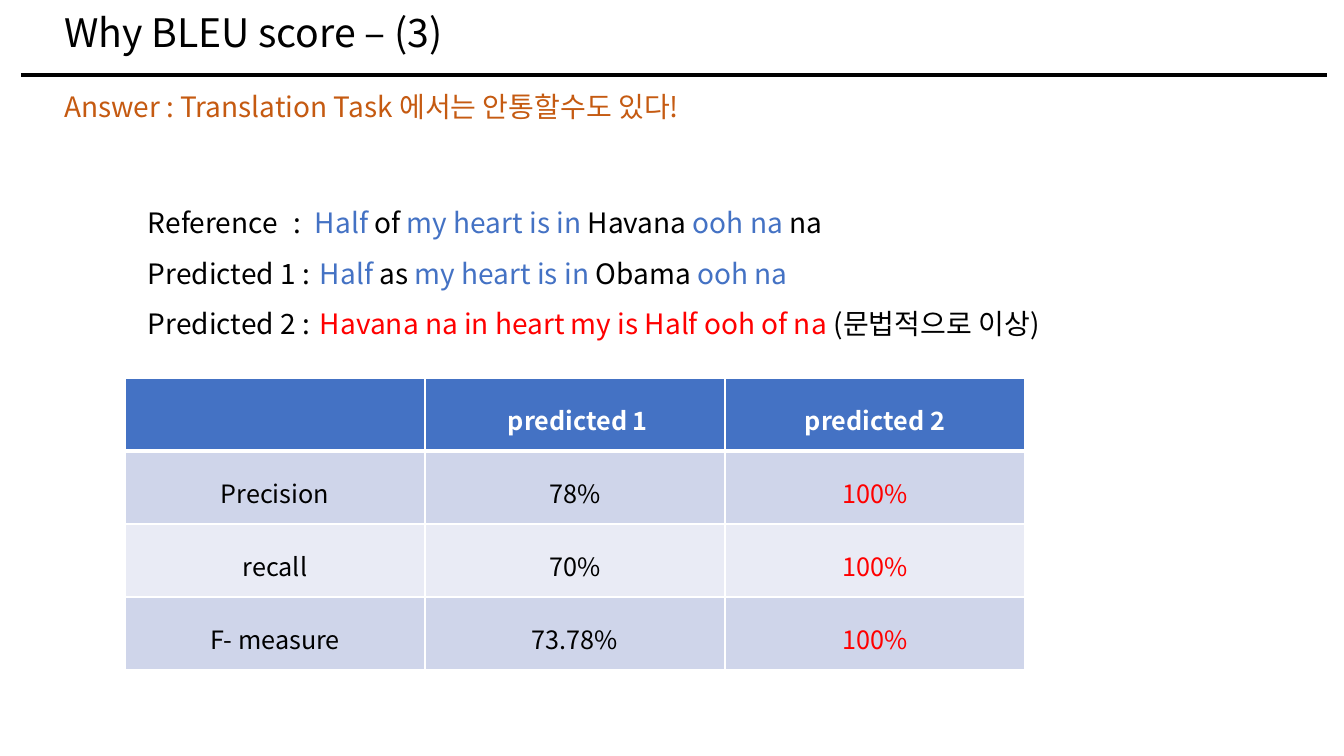
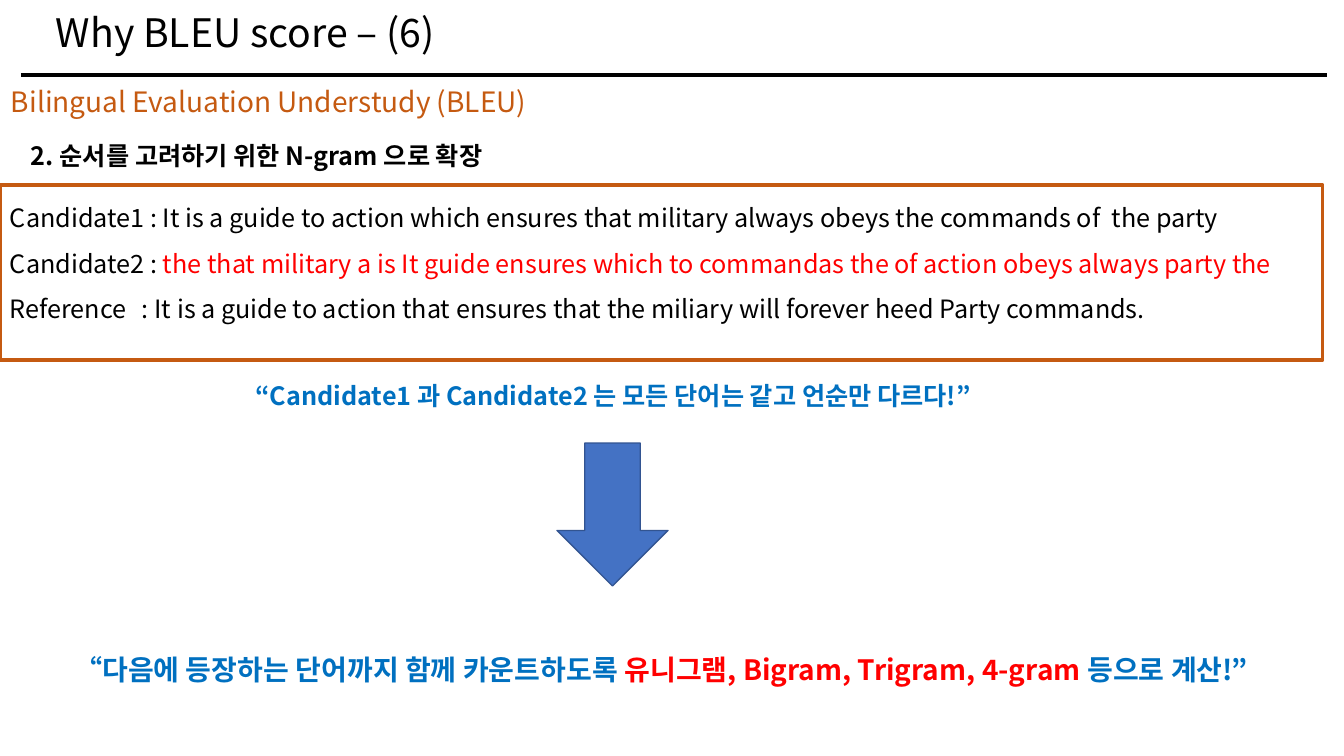
import dataclasses

import lxml.etree
import pptx
import pptx.dml.color
import pptx.enum.shapes
import pptx.enum.text
import pptx.oxml.ns
import pptx.util

SHAPE = pptx.enum.shapes.MSO_SHAPE
ALIGN = pptx.enum.text.PP_ALIGN
ANCHOR = pptx.enum.text.MSO_ANCHOR


@dataclasses.dataclass(frozen=True)
class Theme:
    """Colours, font and type sizes of the deck."""
    font: str = "Noto Sans CJK KR"
    ink: str = "000000"
    paper: str = "FFFFFF"
    rust: str = "C55A11"
    blue: str = "4472C4"
    edge: str = "325491"
    sky: str = "0070C0"
    red: str = "FF0000"
    bands: tuple = ("E9EBF5", "CFD5EA")
    title: int = 28
    lead: int = 20
    body: int = 18
    rule: float = 2.25
    thin: int = 1
    thick: int = 3
    space: float = 1.5


T = Theme()


@dataclasses.dataclass(frozen=True)
class Box:
    """A region in px."""
    x: int
    y: int
    w: int
    h: int

    def inner(self, x, y, w, h):
        """Give a region placed from this one's corner."""
        return Box(self.x + x, self.y + y, w, h)

    def emu(self):
        """Give left, top, width and height in EMU."""
        return [px(n) for n in (self.x, self.y, self.w, self.h)]


def px(count):
    """Turn px into EMU."""
    return pptx.util.Emu(round(count * 914400 / 100.8))


def tint(code):
    """Turn a hex code into a colour."""
    return pptx.dml.color.RGBColor.from_string(code)


def node(owner, tag, **attrs):
    """Append a drawing element."""
    return lxml.etree.SubElement(owner, pptx.oxml.ns.qn(tag), attrs)


def write(frame, lines, size, bold=False, align=ALIGN.LEFT, space=None, stops=()):
    """Write lines of (text, colour) runs, with tab stops by line."""
    frame.word_wrap = True
    for place, runs in enumerate(lines):
        para = frame.add_paragraph() if place else frame.paragraphs[0]
        para.alignment = align
        if space:
            para.line_spacing = space
        if place < len(stops) and stops[place]:
            tabs = node(para._p.get_or_add_pPr(), "a:tabLst")
            for stop in stops[place]:
                node(tabs, "a:tab", pos=str(px(stop)), algn="l")
        for text, shade in runs:
            run = para.add_run()
            run.text = text
            font = run.font
            font.size, font.bold = pptx.util.Pt(size), bold
            font.color.rgb = tint(shade)
            font.name = T.font
            node(run._r.get_or_add_rPr(), "a:ea", typeface=T.font)


def inset(frame, left=0, top=0, right=0, bottom=0):
    """Set the inner margins in px."""
    frame.margin_left, frame.margin_top = px(left), px(top)
    frame.margin_right, frame.margin_bottom = px(right), px(bottom)


def label(slide, box, lines, size, anchor=ANCHOR.MIDDLE, **style):
    """Add a text box without margins."""
    frame = slide.shapes.add_textbox(*box.emu()).text_frame
    inset(frame)
    frame.vertical_anchor = anchor
    write(frame, lines, size, **style)


def block(slide, box, kind, line, width, fill=None):
    """Add a flat preset shape."""
    shape = slide.shapes.add_shape(kind, *box.emu())
    shape.shadow.inherit = False
    if fill:
        shape.fill.solid()
        shape.fill.fore_color.rgb = tint(fill)
    else:
        shape.fill.background()
    shape.line.color.rgb = tint(line)
    shape.line.width = pptx.util.Pt(width)
    return shape


def head(slide, box, title, left):
    """Add the title and the rule below it."""
    label(slide, box.inner(left, 0, 500, 64), [[(title, T.ink)]], T.title)
    ends = [px(n) for n in (box.x + 21, box.y + 75, box.x + 1327, box.y + 75)]
    rule = slide.shapes.add_connector(pptx.enum.shapes.MSO_CONNECTOR.STRAIGHT, *ends)
    rule.line.color.rgb = tint(T.ink)
    rule.line.width = pptx.util.Pt(T.rule)
    node(rule._element.spPr, "a:effectLst")


def trim(cell, row):
    """Draw the white cell edges."""
    props = cell._tc.get_or_add_tcPr()
    for side in "LRTB":
        heavy = (row, side) in ((0, "B"), (1, "T"))
        width = pptx.util.Pt(T.thick if heavy else T.thin)
        edge = node(props, "a:ln" + side, w=str(width))
        node(node(edge, "a:solidFill"), "a:srgbClr", val=T.paper)


def grid(slide, box, rows):
    """Add the score table."""
    table = slide.shapes.add_table(len(rows), len(rows[0]), *box.emu()).table
    for row, texts in enumerate(rows):
        table.rows[row].height = px(box.h / len(rows))
        for col, text in enumerate(texts):
            cell = table.cell(row, col)
            trim(cell, row)
            cell.fill.solid()
            cell.fill.fore_color.rgb = tint(T.bands[row % 2] if row else T.blue)
            shade = T.paper if row == 0 else T.red if col == 2 else T.ink
            runs = [(text, shade)] if text else []
            write(cell.text_frame, [runs], T.body, row == 0, ALIGN.CENTER, T.space)


def scores(slide, box):
    """Build the slide that compares two predictions."""
    head(slide, box, "Why BLEU score – (3)", 64)
    answer = "Answer : Translation Task 에서는 안통할수도 있다!"
    label(slide, box.inner(64, 86, 740, 40), [[(answer, T.rust)]], T.lead)
    lines = [
        [("Reference\t:\t", T.ink), ("Half", T.blue), (" of ", T.ink),
         ("my heart is in ", T.blue), ("Havana ", T.ink), ("ooh na ", T.blue),
         ("na", T.ink)],
        [("Predicted 1 :\t", T.ink), ("Half", T.blue), (" as ", T.ink),
         ("my heart is in", T.blue), (" Obama ", T.ink), ("ooh na", T.blue)],
        [("Predicted 2 :\t", T.ink),
         ("Havana na in heart my is Half ooh of na ", T.red),
         ("(문법적으로 이상)", T.ink)],
    ]
    label(slide, box.inner(148, 189, 994, 160), lines, T.lead, ANCHOR.TOP,
          space=T.space, stops=((146, 167), (172,), (172,)))
    grid(slide, box.inner(125, 378, 900, 292), [
        ("", " predicted 1", "predicted 2"),
        ("Precision", "78%", "100%"),
        ("recall", "70%", "100%"),
        ("F- measure", "73.78%", "100%"),
    ])


def panel(slide, box):
    """Add the framed candidate sentences."""
    frame = block(slide, box, SHAPE.RECTANGLE, T.rust, T.rule).text_frame
    inset(frame, 10, 5, 10, 39)
    frame.vertical_anchor = ANCHOR.MIDDLE
    lines = [
        [("Candidate1 : It is a guide to action which ensures that military "
          "always obeys the commands of\tthe party", T.ink)],
        [("Candidate2 : ", T.ink),
         ("the that military a is It guide ensures which to commandas "
          "the of action obeys always party the", T.red)],
        [("Reference\t: It is a guide to action that ensures that the miliary "
          "will forever heed Party commands.", T.ink)],
    ]
    write(frame, lines, T.body, space=T.space, stops=((1102,), (), (132,)))


def order(slide, box):
    """Build the slide that leads from word order to n-grams."""
    head(slide, box, "Why BLEU score – (6)", 56)
    name = "Bilingual Evaluation Understudy (BLEU)"
    label(slide, box.inner(11, 81, 600, 40), [[(name, T.rust)]], T.lead)
    step = "2. 순서를 고려하기 위한 N-gram 으로 확장"
    label(slide, box.inner(31, 125, 672, 45), [[(step, T.ink)]], T.body,
          ANCHOR.TOP, bold=True, space=T.space)
    panel(slide, box.inner(0, 185, 1323, 175))
    quote = "“Candidate1 과 Candidate2 는 모든 단어는 같고 언순만 다르다!”"
    label(slide, box.inner(207, 347, 812, 96), [[(quote, T.sky)]], T.body,
          bold=True, align=ALIGN.CENTER)
    block(slide, box.inner(557, 443, 111, 143), SHAPE.DOWN_ARROW, T.edge, T.thin, T.blue)
    close = [("“다음에 등장하는 단어까지 함께 카운트하도록 ", T.sky),
             ("유니그램, Bigram, Trigram, 4-gram ", T.red),
             ("등으로 계산!”", T.sky)]
    label(slide, box.inner(0, 621, 1322, 96), [close], T.lead,
          bold=True, align=ALIGN.CENTER)


def main():
    """Build and save the deck."""
    deck = pptx.Presentation()
    page = Box(0, 0, 1344, 756)
    deck.slide_width, deck.slide_height = px(page.w), px(page.h)
    for build in (scores, order):
        build(deck.slides.add_slide(deck.slide_layouts[6]), page)
    deck.save("out.pptx")


if __name__ == "__main__":
    main()
